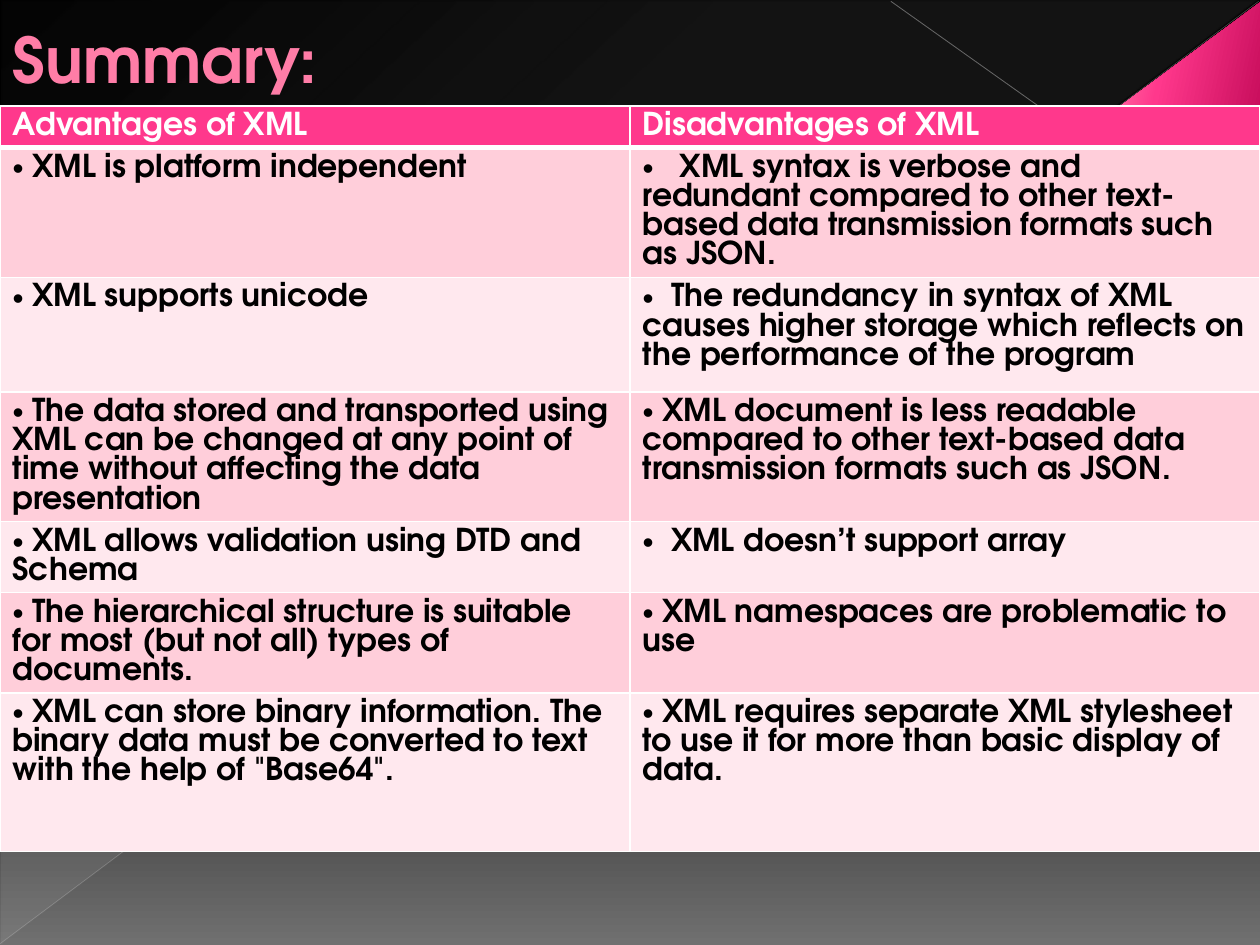
from lxml.etree import SubElement
from pptx import Presentation
from pptx.dml.color import RGBColor
from pptx.enum.shapes import MSO_CONNECTOR, MSO_SHAPE
from pptx.enum.text import MSO_ANCHOR, PP_ALIGN
from pptx.oxml import parse_xml
from pptx.oxml.ns import nsdecls, qn
from pptx.util import Inches, Pt

# Content
TITLE = "Summary:"
HEADINGS = ("Advantages of XML", "Disadvantages of XML")
POINTS = [
    ("XML is platform independent",
     "XML syntax is verbose and redundant compared to other text-based data "
     "transmission formats such as\u00a0JSON."),
    ("XML supports unicode",
     "The redundancy in syntax of XML causes higher storage which reflects on "
     "the performance of the program"),
    ("The data stored and transported using XML can be changed at any point of "
     "time without affecting the data presentation",
     "XML document is less readable compared to other text-based data "
     "transmission formats such as JSON."),
    ("XML allows validation using DTD and Schema",
     "XML doesn\u2019t support array"),
    ("The hierarchical structure is suitable for most (but not all) types of "
     "documents.",
     "XML namespaces are problematic to use"),
    ("XML can store binary information. The binary data must be converted to "
     "text with the help of \"Base64\".",
     "XML requires separate XML stylesheet to use it for more than basic "
     "display of data."),
]
ROW_HEIGHTS = (0.28, 0.91, 0.91, 0.91, 0.28, 0.49, 1.26)
# Extra points between bullet and wording, and wider right margins, by (row, column)
BULLET_GAPS = {(1, 1): 10, (2, 1): 5, (4, 1): 5}
RIGHT_MARGINS = {(1, 1): 0.2}

# Theme
THEME = {
    "font": "TeX Gyre Adventor", "title_size": 36, "cell_size": 18,
    "title": "FF7DA7", "title_edge": "B12761",
    "header": "FF388C", "bands": ("FFCEDA", "FFE8EE"),
    "light": "FFFFFF", "dark": "000000",
    # gradient stops: position %, colour, opacity %
    "backdrop": [(0, "000000", 100), (60, "000000", 100), (100, "707070", 100)],
    "sheen": [(0, "D2D2D2", 10), (70, "D2D2D2", 8), (100, "D2D2D2", 1)],
    "corner": [(0, "B8014E", 100), (60, "FF388C", 100), (100, "FF9CB9", 100)],
}
WIDTH, HEIGHT = 10, 7.5


def gradient(stops, angle):
    marks = "".join(
        f'<a:gs pos="{pos * 1000}"><a:srgbClr val="{color}">'
        f'<a:alpha val="{opacity * 1000}"/></a:srgbClr></a:gs>'
        for pos, color, opacity in stops)
    return parse_xml(
        f'<a:gradFill {nsdecls("a")} rotWithShape="1"><a:gsLst>{marks}</a:gsLst>'
        f'<a:lin ang="{angle * 60000}" scaled="0"/></a:gradFill>')


def outline(tag, color, points):
    return parse_xml(
        f'<a:{tag} {nsdecls("a")} w="{int(Pt(points))}"><a:solidFill>'
        f'<a:srgbClr val="{color}"/></a:solidFill></a:{tag}>')


def write(paragraph, wording, size, color):
    paragraph.alignment = PP_ALIGN.LEFT
    run = paragraph.add_run()
    run.text = wording
    for key, value in {"name": THEME["font"], "size": Pt(size), "bold": True}.items():
        setattr(run.font, key, value)
    run.font.color.rgb = RGBColor.from_string(color)
    return run


deck = Presentation()
deck.slide_width, deck.slide_height = Inches(WIDTH), Inches(HEIGHT)
slide = deck.slides.add_slide(deck.slide_layouts[5])
shapes = slide.shapes

# Background
slide.background.fill.gradient()
plain = slide.background._cSld.find(".//" + qn("a:gradFill"))
plain.getparent().replace(plain, gradient(THEME["backdrop"], 90))

# Corner and sheen triangles
for kind, box, rotation, stops, angle in [
    (MSO_SHAPE.RIGHT_TRIANGLE, (0.01, 0.01, 9.98, 7.48), 0, "sheen", 133),
    (MSO_SHAPE.ISOSCELES_TRIANGLE, (8.26, 0.34, 2.07, 1.42), 90, "corner", 258),
]:
    triangle = shapes.add_shape(kind, *map(Inches, box))
    triangle.rotation = rotation
    triangle.shadow.inherit = False
    triangle.line.fill.background()
    if rotation:
        triangle.adjustments[0] = 0.51
    properties = triangle._element.spPr
    properties.find(qn("a:xfrm")).set("flipV", "1")
    properties.find(qn("a:prstGeom")).addnext(gradient(THEME[stops], angle))

# Diagonal lines
for ends, color, width, opacity in [
    ((WIDTH, 2.09, 7.07, 0.01), "C6C6C6", 0.47, 45),
    ((0, 7.49, 9.99, 0.01), "BFBFBF", 0.39, 35),
]:
    diagonal = shapes.add_connector(MSO_CONNECTOR.STRAIGHT, *map(Inches, ends))
    diagonal.line.color.rgb = RGBColor.from_string(color)
    diagonal.line.width = Pt(width)
    properties = diagonal._element.spPr
    SubElement(properties.find(".//" + qn("a:srgbClr")), qn("a:alpha"),
               val=str(opacity * 1000))
    SubElement(properties, qn("a:effectLst"))

# Title, in front of the decoration
title = shapes.title
title.left, title.top, title.width, title.height = map(Inches, (0, 0, 7.92, 0.92))
title.text_frame.vertical_anchor = MSO_ANCHOR.MIDDLE
heading = write(title.text_frame.paragraphs[0], TITLE, THEME["title_size"], THEME["title"])
heading._r.get_or_add_rPr().insert(0, outline("ln", THEME["title_edge"], 0.5))
shapes._spTree.append(title._element)

# Comparison table
rows = [HEADINGS] + POINTS
table = shapes.add_table(len(rows), len(HEADINGS), 0, Inches(0.84), Inches(WIDTH),
                         Inches(sum(ROW_HEIGHTS))).table
for row, height in zip(table.rows, ROW_HEIGHTS):
    row.height = Inches(height)
for r, entries in enumerate(rows):
    for c, wording in enumerate(entries):
        cell = table.cell(r, c)
        cell.margin_right = Inches(RIGHT_MARGINS.get((r, c), 0.1))
        fill = THEME["bands"][(r - 1) % 2] if r else THEME["header"]
        cell.fill.solid()
        cell.fill.fore_color.rgb = RGBColor.from_string(fill)
        paragraph = cell.text_frame.paragraphs[0]
        color = THEME["dark"] if r else THEME["light"]
        if r:
            bullet = paragraph._p.get_or_add_pPr()
            SubElement(bullet, qn("a:buFont"), typeface="Arial")
            SubElement(bullet, qn("a:buChar"), char="\u2022")
            gap = write(paragraph, " ", THEME["cell_size"], color)
            gap._r.get_or_add_rPr().set("spc", str(BULLET_GAPS.get((r, c), 0) * 100))
        write(paragraph, wording, THEME["cell_size"], color)
        for i, side in enumerate(("lnL", "lnR", "lnT", "lnB")):
            heavy = (r, side) in ((0, "lnB"), (1, "lnT"))
            cell._tc.get_or_add_tcPr().insert(
                i, outline(side, THEME["light"], 3 if heavy else 1))

deck.save("out.pptx")
